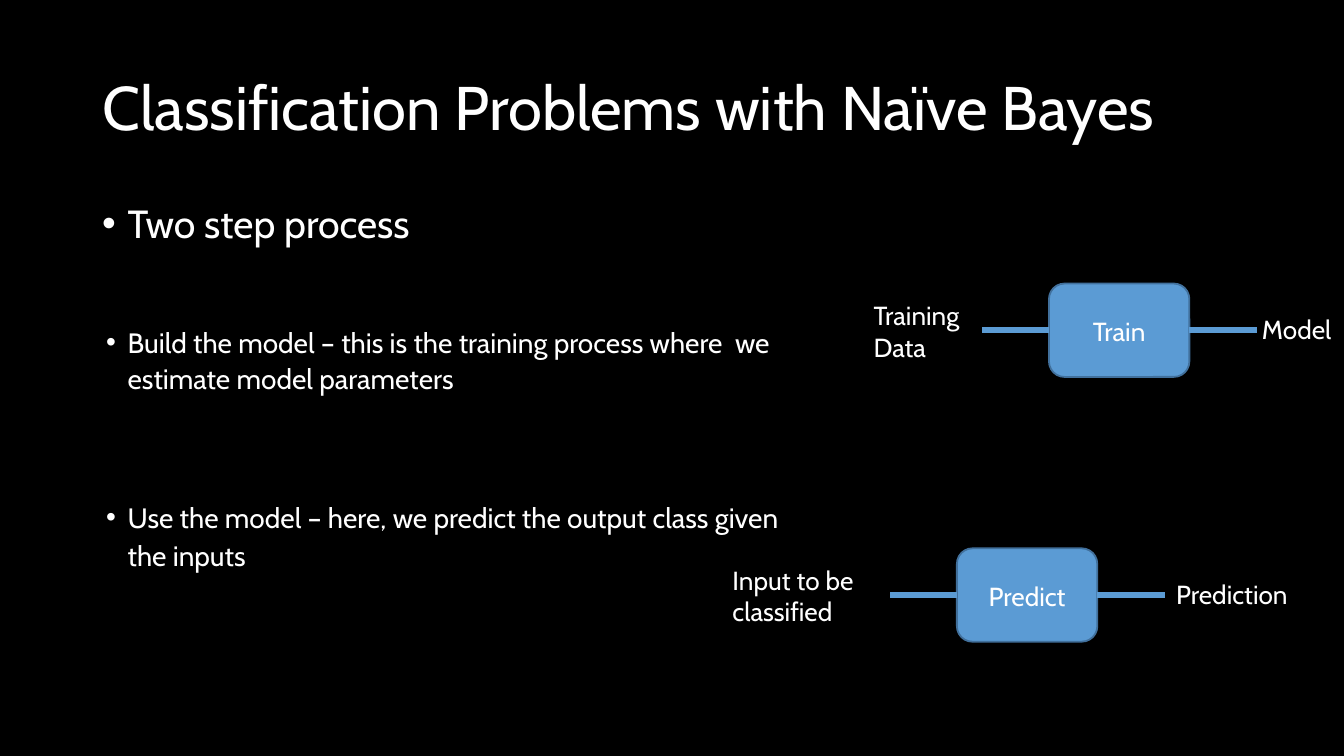
"""Build a slide on the two steps of Naïve Bayes classification."""
from dataclasses import dataclass

from lxml import etree
from pptx import Presentation
from pptx.dml.color import RGBColor
from pptx.enum.shapes import MSO_CONNECTOR, MSO_SHAPE
from pptx.enum.text import MSO_ANCHOR, MSO_AUTO_SIZE, PP_ALIGN
from pptx.oxml.ns import qn
from pptx.util import Inches, Pt

STRAIGHT = MSO_CONNECTOR.STRAIGHT
ROUNDED = MSO_SHAPE.ROUNDED_RECTANGLE
TOP, MIDDLE = MSO_ANCHOR.TOP, MSO_ANCHOR.MIDDLE
LEFT, CENTER = PP_ALIGN.LEFT, PP_ALIGN.CENTER
NO_AUTOFIT = MSO_AUTO_SIZE.NONE
LEFT_SIDE, RIGHT_SIDE = 1, 3

BLACK = RGBColor(0x00, 0x00, 0x00)
WHITE = RGBColor(0xFF, 0xFF, 0xFF)
BLUE = RGBColor(0x5B, 0x9B, 0xD4)
OUTLINE = RGBColor(0x41, 0x70, 0x9C)

FONT, BULLET_FONT = "Cabin", "Arial"
COLS, ROWS = 100, 56.25
CELL = Inches(0.1)
BOX_W, BOX_H, LINK = 10.45, 6.95, 5


@dataclass(frozen=True)
class Area:
    """A rectangle in grid columns and rows."""
    col: float
    row: float
    cols: float
    rows: float

    def emu(self) -> tuple[int, ...]:
        """Return left, top, width and height as slide lengths."""
        return tuple(cells(n) for n in (self.col, self.row, self.cols, self.rows))


@dataclass(frozen=True)
class Bullet:
    """A bulleted statement."""
    text: str
    area: Area
    size: float
    hang: float
    spacing: float
    inset: float


@dataclass(frozen=True)
class Step:
    """A process box with its input and output labels."""
    name: str
    col: float
    row: float
    source: str
    source_area: Area
    result: str
    result_area: Area


BULLETS = [
    Bullet("Two step process", Area(7.5, 14.7, 31.9, 3.7), 21, 1.9, 1, 0.15),
    Bullet("Build the model – this is the training process where  we estimate model parameters",
           Area(7.5, 23.6, 53.9, 7), 15, 1.6, 1.08, 0.4),
    Bullet("Use the model – here, we predict the output class given the inputs",
           Area(7.5, 36.8, 52.6, 5.9), 15, 1.6, 1.14, 0.1),
]
STEPS = [
    Step("Train", 78.05, 21.1, "Training\nData", Area(64.9, 22.2, 8, 4.7),
         "Model", Area(93.8, 23.2, 5.6, 2.5)),
    Step("Predict", 71.2, 40.8, "Input to be classified", Area(54.4, 41.9, 9.9, 4.7),
         "Prediction", Area(87.4, 42.9, 9.8, 2.5)),
]


def cells(n: float) -> int:
    """Convert grid cells to a slide length."""
    return round(n * CELL)


def write(s, text: str, *, size: float = 14, align=LEFT, anchor=TOP,
          inset: float = 0.1, spacing: float = 1) -> None:
    """Put formatted text into a shape."""
    tf = s.text_frame
    tf.text = text
    tf.word_wrap = True
    tf.auto_size = NO_AUTOFIT
    tf.vertical_anchor = anchor
    tf.margin_right = tf.margin_bottom = 0
    tf.margin_left = cells(0.1 if align == LEFT else 0)
    tf.margin_top = cells(inset)
    for p in tf.paragraphs:
        p.alignment = align
        p.line_spacing = spacing
        for r in p.runs:
            r.font.name = FONT
            r.font.size = Pt(size)
            r.font.color.rgb = WHITE


def add_label(slide, text: str, area: Area, **fmt):
    """Add a text box and return it."""
    s = slide.shapes.add_textbox(*area.emu())
    write(s, text, **fmt)
    return s


def add_bullet(slide, b: Bullet) -> None:
    """Add a statement with a hanging white bullet."""
    s = add_label(slide, b.text, b.area, size=b.size, spacing=b.spacing, inset=b.inset)
    pPr = s.text_frame.paragraphs[0]._p.get_or_add_pPr()
    pPr.set("marL", str(cells(1.9)))
    pPr.set("indent", str(-cells(b.hang)))
    color = etree.SubElement(pPr, qn("a:buClr"))
    etree.SubElement(color, qn("a:srgbClr"), val=str(WHITE))
    etree.SubElement(pPr, qn("a:buFont"), typeface=BULLET_FONT)
    etree.SubElement(pPr, qn("a:buChar"), char="•")


def add_link(slide, box, side: int, col: float, row: float) -> None:
    """Draw a line from a side of the box to the given column."""
    s = slide.shapes.add_connector(STRAIGHT, box.left, cells(row), cells(col), cells(row))
    s.begin_connect(box, side)
    s.end_y = s.begin_y
    s.line.color.rgb = BLUE
    s.line.width = Pt(3)
    etree.SubElement(s._element.spPr, qn("a:effectLst"))


def add_step(slide, step: Step) -> None:
    """Add a process box, its two links and its labels."""
    area = Area(step.col, step.row, BOX_W, BOX_H)
    box = slide.shapes.add_shape(ROUNDED, *area.emu())
    box.shadow.inherit = False
    box.fill.solid()
    box.fill.fore_color.rgb = BLUE
    box.line.color.rgb = OUTLINE
    box.line.width = Pt(0.96)
    write(box, step.name, align=CENTER, anchor=MIDDLE)
    middle = step.row + BOX_H / 2
    add_link(slide, box, LEFT_SIDE, step.col - LINK, middle)
    add_link(slide, box, RIGHT_SIDE, step.col + BOX_W + LINK, middle)
    add_label(slide, step.source, step.source_area)
    add_label(slide, step.result, step.result_area)


def main() -> None:
    """Build and save the presentation."""
    prs = Presentation()
    prs.slide_width, prs.slide_height = cells(COLS), cells(ROWS)
    slide = prs.slides.add_slide(prs.slide_layouts[5])
    slide.background.fill.solid()
    slide.background.fill.fore_color.rgb = BLACK
    title = slide.shapes.title
    title.left, title.top, title.width, title.height = Area(7.5, 5, 87.4, 5.7).emu()
    write(title, "Classification Problems with Naïve Bayes", size=33)
    for b in BULLETS:
        add_bullet(slide, b)
    for step in STEPS:
        add_step(slide, step)
    prs.save("out.pptx")


if __name__ == "__main__":
    main()
